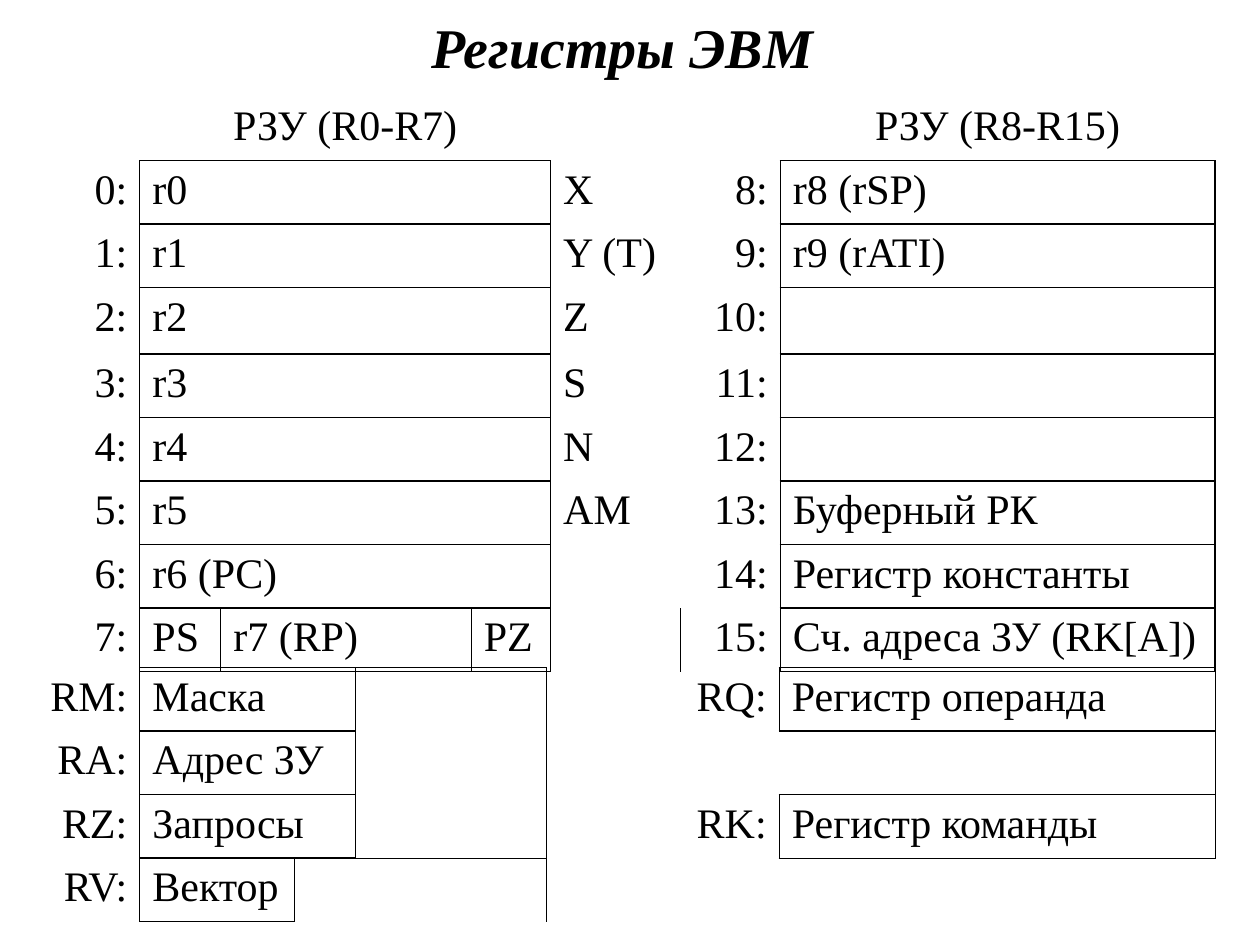
from lxml import etree
from pptx import Presentation
from pptx.dml.color import RGBColor
from pptx.enum import text
from pptx.oxml import ns
from pptx.util import Cm, Pt

BLACK = RGBColor(0, 0, 0)
FONT = "Times New Roman"
NO_STYLE = "{2D5ABB26-0587-4C30-8999-92F81FD0307C}"
LINE, INNER, DIVIDER, HAIR = 0.75, 0.96, 0.45, 0.34  # line widths, pt
LABEL_COLS = (0, 5)
LAST_COL = 6

# Content: label, three register columns, flag, label, register
GENERAL = [
    ["", "РЗУ (R0-R7)", "", "", "", "", "РЗУ (R8-R15)"],
    ["0:", "r0", "", "", "X", "8:", "r8 (rSP)"],
    ["1:", "r1", "", "", "Y (T)", "9:", "r9 (rATI)"],
    ["2:", "r2", "", "", "Z", "10:", ""],
    ["3:", "r3", "", "", "S", "11:", ""],
    ["4:", "r4", "", "", "N", "12:", ""],
    ["5:", "r5", "", "", "AM", "13:", "Буферный РК"],
    ["6:", "r6 (PC)", "", "", "", "14:", "Регистр константы"],
    ["7:", "PS", "r7 (RP)", "PZ", "", "15:", "Сч. адреса ЗУ (RK[A])"],
]
SPECIAL = [
    ["RM:", "Маска", "", "", "", "RQ:", "Регистр операнда"],
    ["RA:", "Адрес ЗУ", "", "", "", "", ""],
    ["RZ:", "Запросы", "", "", "", "RK:", "Регистр команды"],
    ["RV:", "Вектор", "", "", "", "", ""],
]
GENERAL_COLS = [2.21, 1.63, 5.05, 1.6, 2.62, 2.01, 8.76]
SPECIAL_COLS = [2.21, 3.12, 1.22, 3.86, 2.68, 2.01, 8.79]
GENERAL_ROWS = [1.28] * 3 + [1.34] + [1.28] * 5
SPECIAL_ROWS = [1.28] * 4


def set_font(p, size):
    p.font.name, p.font.size = FONT, Pt(size)
    p.font.color.rgb = BLACK


def box(edges, row, first, last, **sides):
    """Frame the cells first..last of a row; side walls are shared with neighbours."""
    edges.setdefault((row, first), {}).update(sides)
    if "L" in sides:
        edges.setdefault((row, first - 1), {})["R"] = sides["L"]
    if "R" in sides and last < LAST_COL:
        edges.setdefault((row, last + 1), {})["L"] = sides["R"]


def draw_edges(cell, sides):
    tc_pr = cell._tc.get_or_add_tcPr()
    for side in "LRTB":
        if side in sides:
            ln = etree.SubElement(tc_pr, ns.qn(f"a:ln{side}"), w=str(Pt(sides[side])))
            fill = etree.SubElement(ln, ns.qn("a:solidFill"))
            etree.SubElement(fill, ns.qn("a:srgbClr"), val=str(BLACK))


def add_registers(slide, top, rows, widths, heights, spans, edges, header_rows=0):
    table = slide.shapes.add_table(len(rows), len(widths), Cm(0.61), Cm(top),
                                   Cm(sum(widths)), Cm(sum(heights))).table
    table.first_row = table.horz_banding = False
    table._tbl.tblPr.find(ns.qn("a:tableStyleId")).text = NO_STYLE
    for col, width in zip(table.columns, widths):
        col.width = Cm(width)
    for row, height in zip(table.rows, heights):
        row.height = Cm(height)
    for r, first, last in spans:
        table.cell(r, first).merge(table.cell(r, last))
    for r, row in enumerate(rows):
        for c, words in enumerate(row):
            cell = table.cell(r, c)
            draw_edges(cell, edges.get((r, c), {}))
            cell.fill.background()
            p = cell.text_frame.paragraphs[0]
            if words:
                p.text = words
            if r < header_rows:
                p.alignment = text.PP_ALIGN.CENTER
            elif c in LABEL_COLS:
                p.alignment = text.PP_ALIGN.RIGHT
            set_font(p, 24)


prs = Presentation()
prs.slide_width, prs.slide_height = Cm(25.4), Cm(19.05)
s = prs.slides.add_slide(prs.slide_layouts[6])

# Title
tf = s.shapes.add_textbox(Cm(1.12), Cm(0.13), Cm(22.86), Cm(1.6)).text_frame
tf.word_wrap = True
tf.vertical_anchor = text.MSO_ANCHOR.MIDDLE
p = tf.paragraphs[0]
p.text = "Регистры ЭВМ"
p.alignment = text.PP_ALIGN.CENTER
set_font(p, 32)
p.font.bold = p.font.italic = True

# General registers: one wide box a row, the last row split in three
edges = {(0, 1): {"B": LINE}, (0, 6): {"B": LINE}}
last = len(GENERAL) - 1
for r in range(1, last + 1):
    t = LINE if r == 1 else INNER
    b = HAIR if r == last else INNER
    box(edges, r, 6, 6, L=LINE, T=t, R=INNER, B=b)
    if r < last:
        box(edges, r, 1, 3, L=LINE, T=t, R=LINE, B=b)
for c, (left, right) in enumerate([(LINE, DIVIDER), (DIVIDER, DIVIDER), (DIVIDER, LINE)], 1):
    box(edges, last, c, c, L=left, T=INNER, R=right, B=HAIR)
add_registers(s, 1.96, GENERAL, GENERAL_COLS, GENERAL_ROWS,
              [(r, 1, 3) for r in range(last)], edges, header_rows=1)

# Special registers: mask, address, requests, vector; operand and command
edges = {(0, 3): {"T": LINE}}
for r in range(3):
    box(edges, r, 1, 2, L=LINE, T=INNER, R=LINE, B=LINE if r == 2 else INNER)
box(edges, 3, 1, 1, L=LINE, T=INNER, R=LINE, B=LINE)
box(edges, 0, 6, 6, L=LINE, T=INNER, R=INNER, B=INNER)
box(edges, 1, 6, 6, T=INNER, R=HAIR, B=INNER)
box(edges, 2, 6, 6, L=LINE, T=INNER, R=INNER, B=LINE)
add_registers(s, 13.46, SPECIAL, SPECIAL_COLS, SPECIAL_ROWS,
              [(r, 1, 2) for r in range(3)] + [(3, 2, 3)], edges)

prs.save("out.pptx")
